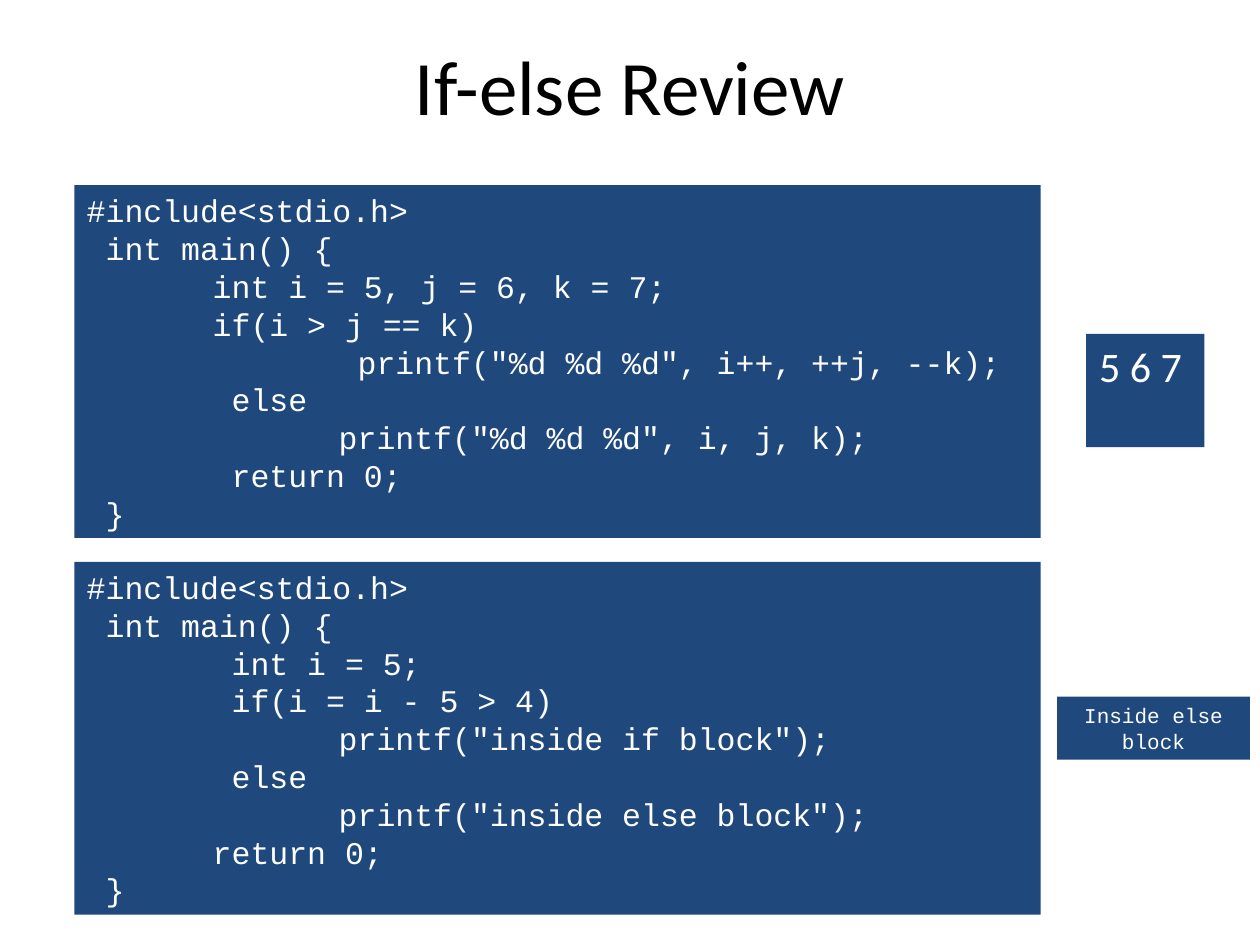
"""Builds the If-else Review slide: two code panels, each with its output."""
import pptx
import pptx.util
from lxml import etree
from pptx.dml.color import RGBColor
from pptx.enum.shapes import MSO_SHAPE
from pptx.enum.text import MSO_ANCHOR, PP_ALIGN
from pptx.oxml.ns import qn

Pt = pptx.util.Pt
NAVY = RGBColor(0x1F, 0x49, 0x7D)
WHITE = RGBColor(0xFF, 0xFF, 0xFF)
BLACK = RGBColor(0x00, 0x00, 0x00)
CODE_FONT, BODY_FONT = "Courier New", "Calibri"

TITLE = "If-else Review"
PROGRAMS = [
    [
        "#include<stdio.h>",
        " int main() {",
        "\tint i = 5, j = 6, k = 7;",
        "\tif(i > j == k)",
        '\t\t printf("%d %d %d", i++, ++j, --k);',
        "\t else",
        '\t\tprintf("%d %d %d", i, j, k);',
        "\t return 0;",
        " }",
    ],
    [
        "#include<stdio.h>",
        " int main() {",
        "\t int i = 5;",
        "\t if(i = i - 5 > 4)",
        '\t\tprintf("inside if block");',
        "\t else",
        ' \t\tprintf("inside else block");',
        "\treturn 0;",
        " }",
    ],
]
OUTPUTS = [
    ("5 6 7 ", (620.64, 190.8, 67.68, 64.8), BODY_FONT, 24),
    ("Inside else block", (604.08, 398.16, 110.16, 36), CODE_FONT, 12),
]
CODE_LEFT, CODE_TOP, CODE_W, CODE_H, CODE_GAP = 42.48, 105.84, 552.24, 201.6, 13.68
TAB_STOPS = (72, 144)


def set_tabs(p):
    tabs = etree.SubElement(p._p.get_or_add_pPr(), qn("a:tabLst"))
    for stop in TAB_STOPS:
        etree.SubElement(tabs, qn("a:tab"), pos=str(Pt(stop)), algn="l")


def write(sp, lines, font=CODE_FONT, size=18, color=WHITE,
          align=PP_ALIGN.LEFT, anchor=MSO_ANCHOR.TOP):
    tf = sp.text_frame
    tf.word_wrap = True
    tf.vertical_anchor = anchor
    for i, line in enumerate(lines):
        p = tf.add_paragraph() if i else tf.paragraphs[0]
        p.alignment = align
        if "\t" in line:
            set_tabs(p)
        r = p.add_run()
        r.text = line
        r.font.name, r.font.size = font, Pt(size)
        r.font.color.rgb = color


def add_panel(s, box):
    sp = s.shapes.add_shape(MSO_SHAPE.RECTANGLE, *map(Pt, box))
    sp.shadow.inherit = False
    sp.fill.solid()
    sp.fill.fore_color.rgb = NAVY
    sp.line.fill.background()
    return sp


def main():
    prs = pptx.Presentation()
    prs.slide_width, prs.slide_height = Pt(720), Pt(540)
    s = prs.slides.add_slide(prs.slide_layouts[6])
    title = s.shapes.add_textbox(Pt(36), Pt(3.6), Pt(648), Pt(90))
    write(title, [TITLE], font=BODY_FONT, size=44, color=BLACK,
          align=PP_ALIGN.CENTER, anchor=MSO_ANCHOR.MIDDLE)
    for i, (code, output) in enumerate(zip(PROGRAMS, OUTPUTS)):
        top = CODE_TOP + i * (CODE_H + CODE_GAP)
        write(add_panel(s, (CODE_LEFT, top, CODE_W, CODE_H)), code)
        text, box, font, size = output
        write(add_panel(s, box), [text], font=font, size=size,
              align=PP_ALIGN.CENTER)
    prs.save("out.pptx")


if __name__ == "__main__":
    main()
